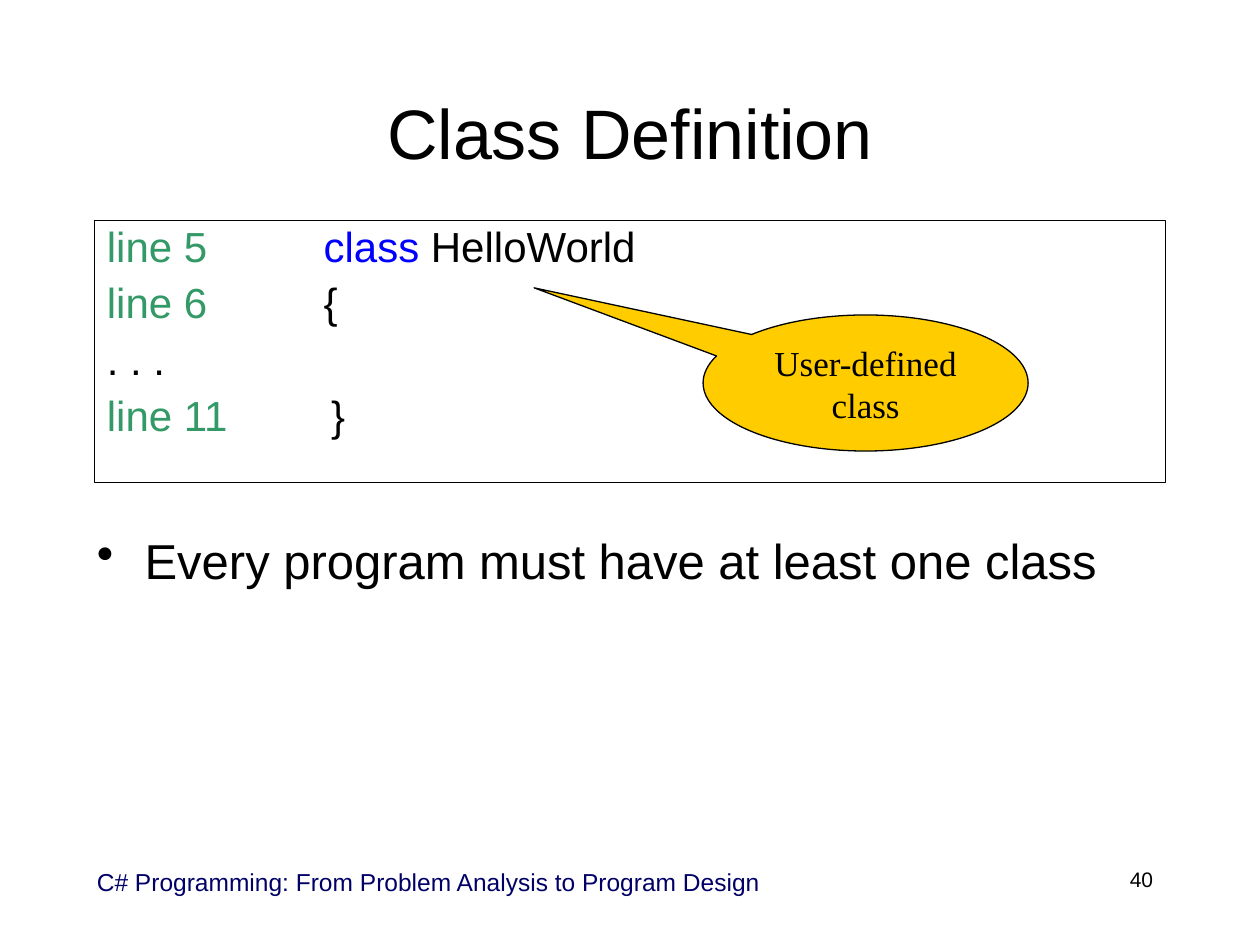
"""Build the Class Definition slide."""
from dataclasses import dataclass
from typing import Any

from lxml import etree
from pptx import Presentation
from pptx import util as u
from pptx.dml.color import RGBColor
from pptx.enum import shapes, text
from pptx.oxml import ns

BLACK = RGBColor(0, 0, 0)
NAVY = RGBColor(0, 0, 0x66)
GREEN = RGBColor(0x33, 0x99, 0x66)
BLUE = RGBColor(0, 0, 0xFF)
GOLD = RGBColor(0xFF, 0xCC, 0)
LEFT, MID, RIGHT = text.PP_ALIGN.LEFT, text.PP_ALIGN.CENTER, text.PP_ALIGN.RIGHT
TOP, CENTER = text.MSO_ANCHOR.TOP, text.MSO_ANCHOR.MIDDLE


@dataclass
class Label:
    words: str
    box: tuple[float, float, float, float]
    size: int
    color: RGBColor = BLACK
    align: Any = LEFT
    anchor: Any = TOP
    bullet: bool = False


@dataclass
class Code:
    label: str
    key: str = ""
    rest: str = ""
    stop: float = 1.72


LABELS = [
    Label("C# Programming: From Problem Analysis to Program Design",
          (0.67, 6.83, 5.92, 0.5), 14, NAVY),
    Label("40", (7.17, 6.83, 2.08, 0.5), 12, align=RIGHT),
    Label("Class Definition", (0.75, 0.42, 8.5, 1.25), 40, align=MID, anchor=CENTER),
    Label("Every program must have at least one class",
          (0.67, 4.25, 8.5, 1.92), 28, bullet=True),
]
LINES = [
    Code("line 5", "class", " HelloWorld"),
    Code("line 6", rest="{"),
    Code("", rest=". . ."),
    Code("line 11", rest="}", stop=1.78),
]


def set_font(para: Any, size: int, name: str = "Arial", color: RGBColor = BLACK) -> None:
    para.font.size = u.Pt(size)
    para.font.name = name
    para.font.color.rgb = color


def add_label(slide: Any, item: Label) -> None:
    frame = slide.shapes.add_textbox(*map(u.Inches, item.box)).text_frame
    frame.word_wrap = True
    frame.vertical_anchor = item.anchor
    para = frame.paragraphs[0]
    para.text = item.words
    para.alignment = item.align
    if item.bullet:
        para.line_spacing = 0.8
        props = para._p.get_or_add_pPr()
        props.set("marL", str(u.Inches(0.38)))
        props.set("indent", str(u.Inches(-0.38)))
        etree.SubElement(props, ns.qn("a:buChar"), char="•")
    set_font(para, item.size, color=item.color)


def add_shape(slide: Any, kind: Any, box: tuple[float, float, float, float]) -> Any:
    shape = slide.shapes.add_shape(kind, *map(u.Inches, box))
    shape.shadow.inherit = False
    shape.line.color.rgb = BLACK
    shape.line.width = u.Pt(0.75)
    shape.text_frame.word_wrap = True
    return shape


def add_line(para: Any, line: Code) -> None:
    para.alignment = LEFT
    para.line_spacing = 0.88
    if line.label:
        tabs = etree.SubElement(para._p.get_or_add_pPr(), ns.qn("a:tabLst"))
        etree.SubElement(tabs, ns.qn("a:tab"), pos=str(u.Inches(line.stop)), algn="l")
    set_font(para, 24)
    label = line.label and line.label + "\t"
    for words, color in ((label, GREEN), (line.key, BLUE), (line.rest, BLACK)):
        if words:
            run = para.add_run()
            run.text = words
            run.font.color.rgb = color


def add_code(slide: Any, lines: list[Code]) -> None:
    shape = add_shape(slide, shapes.MSO_SHAPE.RECTANGLE, (0.75, 1.75, 8.5, 2.08))
    shape.fill.background()
    frame = shape.text_frame
    frame.vertical_anchor = TOP
    for i, line in enumerate(lines):
        para = frame.add_paragraph() if i else frame.paragraphs[0]
        if i:
            para.space_before = u.Pt(7)
        add_line(para, line)


def add_callout(slide: Any) -> None:
    shape = add_shape(slide, shapes.MSO_SHAPE.OVAL_CALLOUT, (5.58, 2.5, 2.58, 1.08))
    shape.adjustments[0] = -1.02
    shape.adjustments[1] = -0.7
    shape.fill.solid()
    shape.fill.fore_color.rgb = GOLD
    shape.text_frame.vertical_anchor = CENTER
    para = shape.text_frame.paragraphs[0]
    para.text = "User-defined class"
    para.alignment = MID
    set_font(para, 20, "Times New Roman")


def main() -> None:
    deck = Presentation()
    deck.slide_width, deck.slide_height = u.Inches(10), u.Inches(7.5)
    slide = deck.slides.add_slide(deck.slide_layouts[6])
    for item in LABELS:
        add_label(slide, item)
    add_code(slide, LINES)
    add_callout(slide)
    deck.save("out.pptx")


if __name__ == "__main__":
    main()
